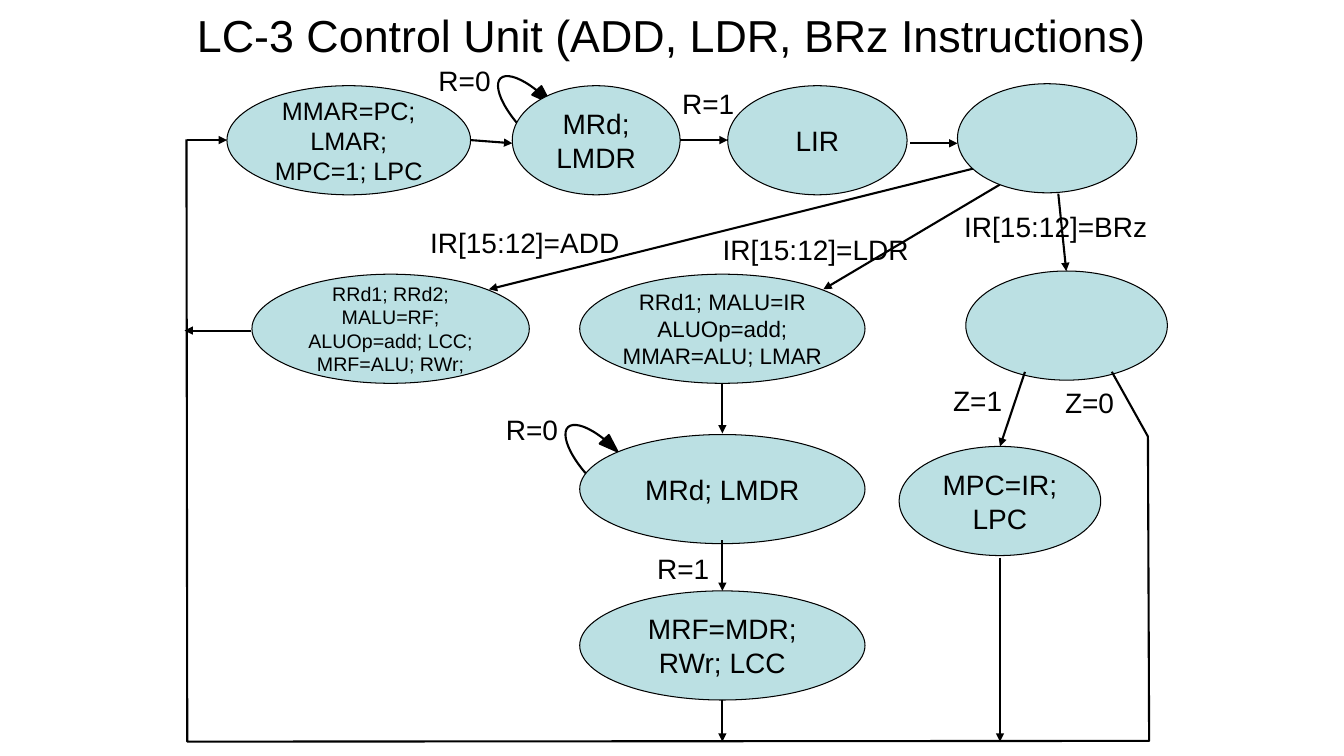
from dataclasses import dataclass

from lxml import etree
from pptx import Presentation
from pptx import util as u
from pptx.dml import color
from pptx.enum import shapes, text
from pptx.oxml import ns


@dataclass(frozen=True)
class Theme:
    font: str = "Arial"
    ink: color.RGBColor = color.RGBColor(0, 0, 0)
    state_fill: color.RGBColor = color.RGBColor(0xBB, 0xE0, 0xE3)
    title_size: int = 32
    label_size: int = 20
    long_size: int = 18
    longer_size: int = 16
    longest_size: int = 14
    outline: float = 0.75
    arrow: float = 1.5
    state_height: float = 2.75
    label_height: float = 1.12


@dataclass(frozen=True)
class Box:
    left: float
    top: float
    width: float
    height: float

    def inner(self, x, y, width, height):
        return Box(self.left + x, self.top + y, width, height)

    def point(self, x, y):
        return u.Cm(self.left + x), u.Cm(self.top + y)

    def lengths(self):
        return [u.Cm(value) for value in (self.left, self.top, self.width, self.height)]


THEME = Theme()


def write(paragraph, content, size):
    run = paragraph.add_run()
    run.text = content
    run.font.name = THEME.font
    run.font.size = u.Pt(size)
    run.font.color.rgb = THEME.ink


def add_state(slide, box, content="", size=THEME.label_size, side_inset=0.0):
    shape = slide.shapes.add_shape(shapes.MSO_SHAPE.OVAL, *box.lengths())
    shape.shadow.inherit = False
    shape.fill.solid()
    shape.fill.fore_color.rgb = THEME.state_fill
    shape.line.color.rgb = THEME.ink
    shape.line.width = u.Pt(THEME.outline)
    if content:
        frame = shape.text_frame
        frame.word_wrap = True
        frame.vertical_anchor = text.MSO_ANCHOR.MIDDLE
        frame.margin_left = frame.margin_right = u.Cm(side_inset)
        paragraph = frame.paragraphs[0]
        paragraph.alignment = text.PP_ALIGN.CENTER
        write(paragraph, content, size)


def add_label(slide, box, x, y, width, content):
    place = box.inner(x, y, width, THEME.label_height)
    frame = slide.shapes.add_textbox(*place.lengths()).text_frame
    frame.word_wrap = False
    frame.auto_size = text.MSO_AUTO_SIZE.SHAPE_TO_FIT_TEXT
    write(frame.paragraphs[0], content, THEME.label_size)


def add_arrow(slide, box, start, end):
    connector = slide.shapes.add_connector(
        shapes.MSO_CONNECTOR.STRAIGHT, *box.point(*start), *box.point(*end)
    )
    connector.line.color.rgb = THEME.ink
    connector.line.width = u.Pt(THEME.arrow)
    head = etree.SubElement(connector.line._get_or_add_ln(), ns.qn("a:tailEnd"))
    head.set("type", "triangle")
    etree.SubElement(connector._element.spPr, ns.qn("a:effectLst"))


def add_waiting_state(slide, box, content):
    loop = slide.shapes.add_shape(
        shapes.MSO_SHAPE.CURVED_LEFT_ARROW, *box.inner(-0.44, -0.33, 1.3, 1.12).lengths()
    )
    for index, value in enumerate((0, 0.282, 0.4)):
        loop.adjustments[index] = value
    loop.rotation = 226.5
    loop.shadow.inherit = False
    loop.fill.solid()
    loop.fill.fore_color.rgb = THEME.ink
    loop.line.color.rgb = THEME.ink
    loop.line.width = u.Pt(THEME.arrow)
    add_label(slide, box, -2.11, -0.68, 1.83, "R=0")
    add_state(slide, box, content)


def add_title(slide, box):
    title = slide.shapes.title
    title.left, title.top, title.width, title.height = box.lengths()
    frame = title.text_frame
    frame.word_wrap = True
    frame.auto_size = text.MSO_AUTO_SIZE.NONE
    frame.vertical_anchor = text.MSO_ANCHOR.MIDDLE
    paragraph = frame.paragraphs[0]
    paragraph.alignment = text.PP_ALIGN.CENTER
    write(paragraph, "LC-3 Control Unit (ADD, LDR, BRz Instructions)", THEME.title_size)


def add_fetch(slide, box):
    height = THEME.state_height
    add_state(slide, box.inner(1.02, 0.69, 6.14, height),
              "MMAR=PC; LMAR; MPC=1; LPC", THEME.long_size, 0.25)
    add_waiting_state(slide, box.inner(8.21, 0.69, 4.23, height), "MRd; LMDR")
    add_state(slide, box.inner(13.64, 0.69, 4.52, height), "LIR")
    add_state(slide, box.inner(19.43, 0.64, 4.52, height))
    for start, end in (
        ((0, 2.06), (1.02, 2.06)),
        ((7.16, 2.06), (8.21, 2.14)),
        ((12.44, 2.06), (13.64, 2.06)),
        ((18.24, 2.14), (19.43, 2.14)),
    ):
        add_arrow(slide, box, start, end)
    add_label(slide, box, 12.24, 0.59, 1.83, "R=1")


def add_decode(slide, box):
    for start, end, x, y, width, opcode in (
        ((13.97, 0), (1.73, 3.05), 0, 1.32, 5.33, "ADD"),
        ((14.61, 0.41), (10.16, 3.05), 7.37, 1.5, 5.26, "LDR"),
        ((16.08, 0.64), (16.28, 2.59), 13.46, 0.92, 5.16, "BRz"),
    ):
        add_arrow(slide, box, start, end)
        add_label(slide, box, x, y, width, f"IR[15:12]={opcode}")


def add_add_branch(slide, box):
    add_state(slide, box.inner(1.7, 0, 6.99, THEME.state_height),
              "RRd1; RRd2; MALU=RF; ALUOp=add; LCC; MRF=ALU; RWr;", THEME.longest_size)
    add_arrow(slide, box, (1.68, 1.42), (0, 1.42))


def add_ldr_branch(slide, box):
    width, height = box.width, THEME.state_height
    add_state(slide, box.inner(0, 0, width, height),
              "RRd1; MALU=IR ALUOp=add; MMAR=ALU; LMAR", THEME.longer_size)
    add_waiting_state(slide, box.inner(0, 4.04, width, height), "MRd; LMDR")
    add_state(slide, box.inner(0, 7.98, width, height), "MRF=MDR; RWr; LCC")
    for top, bottom in ((2.74, 4.01), (6.7, 7.98), (10.72, box.height)):
        add_arrow(slide, box, (width / 2, top), (width / 2, bottom))
    add_label(slide, box, 1.7, 6.86, 1.83, "R=1")


def add_brz_branch(slide, box):
    add_state(slide, box.inner(1.68, 0, 5.08, THEME.state_height))
    add_state(slide, box.inner(0, 4.42, 5.08, THEME.state_height), "MPC=IR; LPC")
    add_arrow(slide, box, (3.17, 2.54), (2.54, 4.42))
    add_arrow(slide, box, (2.54, 7.22), (2.54, box.height))
    add_label(slide, box, 1.11, 2.72, 1.75, "Z=1")
    add_label(slide, box, 3.93, 2.77, 1.75, "Z=0")


def add_return_path(slide, box):
    corners = ((24.23, 7.49), (24.26, 15.16), (0.02, 15.18), (0, 0))
    builder = slide.shapes.build_freeform(*box.point(23.32, 5.86))
    builder.add_line_segments([box.point(*corner) for corner in corners], close=False)
    shape = builder.convert_to_shape()
    shape.shadow.inherit = False
    shape.fill.background()
    shape.line.color.rgb = THEME.ink
    shape.line.width = u.Pt(THEME.arrow)


def main():
    presentation = Presentation()
    presentation.slide_width = u.Cm(33.87)
    presentation.slide_height = u.Cm(19.05)
    slide = presentation.slides.add_slide(presentation.slide_layouts[5])
    add_title(slide, Box(4.23, -0.2, 25.4, 2.12))
    add_add_branch(slide, Box(4.65, 6.91, 8.69, 2.75))
    add_ldr_branch(slide, Box(14.61, 6.91, 7.19, 11.78))
    add_brz_branch(slide, Box(22.66, 6.83, 6.76, 11.86))
    add_decode(slide, Box(10.59, 4.24, 18.62, 3.05))
    add_return_path(slide, Box(4.7, 3.51, 24.26, 15.18))
    add_fetch(slide, Box(4.7, 1.47, 23.95, 3.44))
    presentation.save("out.pptx")


if __name__ == "__main__":
    main()
